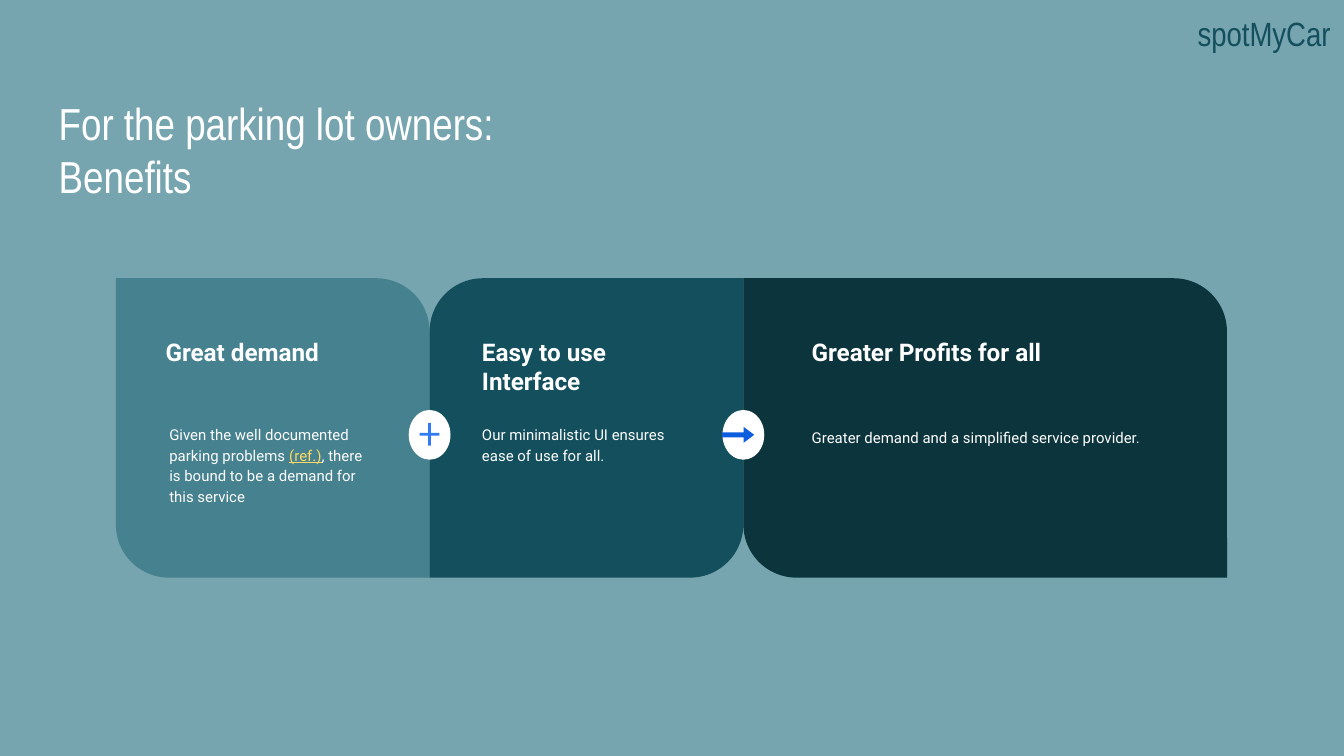
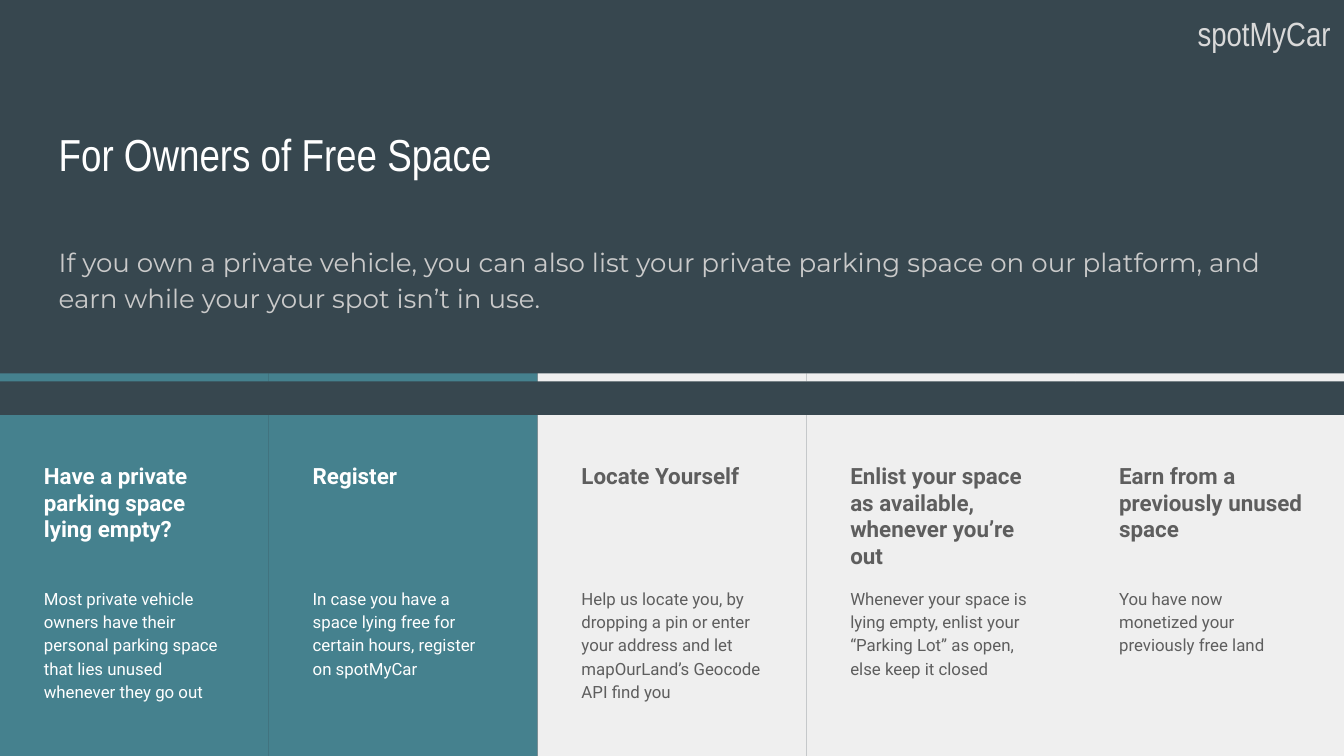
from pptx import Presentation
from pptx.dml.color import RGBColor
from pptx.enum.shapes import MSO_SHAPE as Preset
from pptx.enum.text import MSO_ANCHOR as Anchor, MSO_AUTO_SIZE as AutoSize, PP_ALIGN as Align
from pptx.util import Cm, Pt

WHITE = RGBColor(0xFF, 0xFF, 0xFF)
MIST = RGBColor(0x76, 0xA5, 0xAF)
TEAL = RGBColor(0x45, 0x81, 0x8E)
DEEP_TEAL = RGBColor(0x13, 0x4F, 0x5C)
DARK_TEAL = RGBColor(0x0C, 0x34, 0x3D)
SLATE = RGBColor(0x37, 0x47, 0x4F)
PALE = RGBColor(0xEF, 0xEF, 0xEF)
LIGHT_GREY = RGBColor(0xD9, 0xD9, 0xD9)
LEAD_GREY = RGBColor(0xCA, 0xCA, 0xCA)
TEXT_GREY = RGBColor(0x5E, 0x5E, 0x5E)
YELLOW = RGBColor(0xFF, 0xD9, 0x66)
ARROW_BLUE = RGBColor(0x0D, 0x5D, 0xDF)
PLUS_BLUE = RGBColor(0x30, 0x7B, 0xF3)

DISPLAY = "Arial Narrow"
LEAD = "Montserrat"
BODY = "Roboto"
PRODUCT = "spotMyCar"
SLIDE_WIDTH, SLIDE_HEIGHT = 25.4, 14.29
MARGIN = 0.86


def add_run(paragraph, text, font, size, color, bold=False, underline=False):
    run = paragraph.add_run()
    run.text = text
    run.font.name = font
    run.font.size = Pt(size)
    run.font.color.rgb = color
    run.font.bold = bold
    run.font.underline = underline


def prepare_frame(shape, anchor=Anchor.TOP):
    frame = shape.text_frame
    frame.word_wrap = True
    frame.auto_size = AutoSize.NONE
    frame.vertical_anchor = anchor
    frame.margin_left = frame.margin_right = Cm(0.25)
    frame.margin_top = frame.margin_bottom = Cm(0.25)
    frame.paragraphs[0].alignment = Align.LEFT
    return frame


def add_filled(slide, preset, box, color, adjustments=()):
    shape = slide.shapes.add_shape(preset, *map(Cm, box))
    shape.shadow.inherit = False
    shape.fill.solid()
    shape.fill.fore_color.rgb = color
    shape.line.fill.background()
    for index, value in enumerate(adjustments):
        shape.adjustments[index] = value
    return shape


def add_text_box(slide, box):
    return slide.shapes.add_textbox(*map(Cm, box))


def write_heading(shape, text, size, color):
    paragraph = prepare_frame(shape).paragraphs[0]
    add_run(paragraph, text, BODY, size, color, bold=True)


def write_body(shape, runs, size, font=BODY):
    paragraph = prepare_frame(shape).paragraphs[0]
    paragraph.line_spacing = 1.15
    paragraph.space_after = Pt(16)
    for text, color, underline in runs:
        add_run(paragraph, text, font, size, color, underline=underline)


def add_titled_slide(presentation, background, lines, height, anchor, product_color):
    slide = presentation.slides.add_slide(presentation.slide_layouts[5])
    slide.background.fill.solid()
    slide.background.fill.fore_color.rgb = background

    title = slide.shapes.title
    title.left, title.top, title.width, title.height = map(Cm, (MARGIN, 1.55, 9.73, height))
    frame = prepare_frame(title, anchor)
    for index, line in enumerate(lines):
        paragraph = frame.add_paragraph() if index else frame.paragraphs[0]
        paragraph.alignment = Align.LEFT
        add_run(paragraph, line, DISPLAY, 24, WHITE)

    width = 5.38
    label = add_text_box(slide, (SLIDE_WIDTH - width, 0, width, 1.45))
    paragraph = prepare_frame(label).paragraphs[0]
    paragraph.alignment = Align.RIGHT
    add_run(paragraph, PRODUCT, DISPLAY, 18, product_color)
    return slide


def add_benefit_card(slide, box, color, corners, heading, runs, offsets, text_width):
    left, top, width, height = box
    heading_x, body_x, body_y = offsets
    add_filled(slide, Preset.ROUND_2_DIAG_RECTANGLE, box, color, corners)
    heading_box = (left + heading_x, top + 0.86, text_width, 1.65)
    write_heading(add_filled(slide, Preset.RECTANGLE, heading_box, color), heading, 13, WHITE)
    body_box = (left + body_x, top + body_y, text_width, 1.85)
    write_body(add_filled(slide, Preset.RECTANGLE, body_box, color), runs, 8)


def add_badge(slide, seam, top, preset, offset_box, color, adjustments):
    width = 0.79
    left = seam - width / 2
    add_filled(slide, Preset.OVAL, (left, top, width, 0.94), WHITE)
    x, y, symbol_width, symbol_height = offset_box
    symbol_box = (left + x, top + y, symbol_width, symbol_height)
    add_filled(slide, preset, symbol_box, color, adjustments)


def add_step_column(slide, box, fill, text_color, heading, body):
    left, top, width, height = box
    add_filled(slide, Preset.RECTANGLE, (left, top, width, 0.15), fill)
    add_filled(slide, Preset.RECTANGLE, (left, top + 0.79, width, height - 0.79), fill)
    text_left = left + 0.58
    heading_box = add_text_box(slide, (text_left, top + 1.42, 4, 2.21))
    write_heading(heading_box, heading, 12, text_color)
    body_box = add_text_box(slide, (text_left, top + 3.76, 4, 2.77))
    write_body(body_box, [(body, text_color, False)], 9)


def build_benefits_slide(presentation):
    slide = add_titled_slide(presentation, MIST, ["For the parking lot owners:", "Benefits"],
                             2.74, Anchor.TOP, DEEP_TEAL)
    top_right, top_left = (0, 0.178), (0.178, 0)
    cards = [
        (5.93, TEAL, top_right, "Great demand",
         [("Given the well documented parking problems ", WHITE, False),
          ("(ref.)", YELLOW, True),
          (", there is bound to be a demand for this service", WHITE, False)],
         (0.69, 0.76, 2.49), 4.42),
        (5.93, DEEP_TEAL, top_left, "Easy to use Interface",
         [("Our minimalistic UI ensures ease of use for all.", WHITE, False)],
         (0.74, 0.74, 2.49), 4.42),
        (9.14, DARK_TEAL, top_right, "Greater Profits for all",
         [("Greater demand and a simplified service provider.", WHITE, False)],
         (1.04, 1.04, 2.54), 7.37),
    ]
    left, top, height = 2.19, 5.26, 5.66
    seams = []
    for width, *details in cards:
        add_benefit_card(slide, (left, top, width, height), *details)
        left += width
        seams.append(left)

    badge_top = top + 2.49
    add_badge(slide, seams[0], badge_top, Preset.MATH_PLUS,
              (0.14, 0.17, 0.51, 0.58), PLUS_BLUE, (0.099,))
    add_badge(slide, seams[1], badge_top, Preset.RIGHT_ARROW,
              (-0.01, 0.32, 0.61, 0.3), ARROW_BLUE, (0.32, 0.67))


def build_free_space_slide(presentation):
    slide = add_titled_slide(presentation, SLATE, ["For Owners of Free Space"],
                             2.11, Anchor.BOTTOM, LIGHT_GREY)
    lead = ("If you own a private vehicle, you can also list your private parking space "
            "on our platform, and earn while your your spot isn’t in use.")
    write_body(add_text_box(slide, (MARGIN, 4.32, 23.47, 2.11)),
               [(lead, LEAD_GREY, False)], 14, LEAD)

    owner, platform = (TEAL, WHITE), (PALE, TEXT_GREY)
    steps = [
        (owner, "Have a private parking space lying empty?",
         "Most private vehicle owners have their personal parking space that lies unused "
         "whenever they go out"),
        (owner, "Register",
         f"In case you have a space lying free for certain hours, register on {PRODUCT}"),
        (platform, "Locate Yourself",
         "Help us locate you, by dropping a pin or enter your address and let "
         "mapOurLand’s Geocode API find you"),
        (platform, "Enlist your space as available, whenever you’re out",
         "Whenever your space is lying empty, enlist your “Parking Lot” as open, "
         "else keep it closed"),
        (platform, "Earn from a previously unused space",
         "You have now monetized your previously free land"),
    ]
    top = 7.06
    width = SLIDE_WIDTH / len(steps)
    for index, (colors, heading, body) in enumerate(steps):
        box = (index * width, top, width, SLIDE_HEIGHT - top)
        add_step_column(slide, box, *colors, heading, body)


def main():
    presentation = Presentation()
    presentation.slide_width = Cm(SLIDE_WIDTH)
    presentation.slide_height = Cm(SLIDE_HEIGHT)
    build_benefits_slide(presentation)
    build_free_space_slide(presentation)
    presentation.save("out.pptx")


if __name__ == "__main__":
    main()
